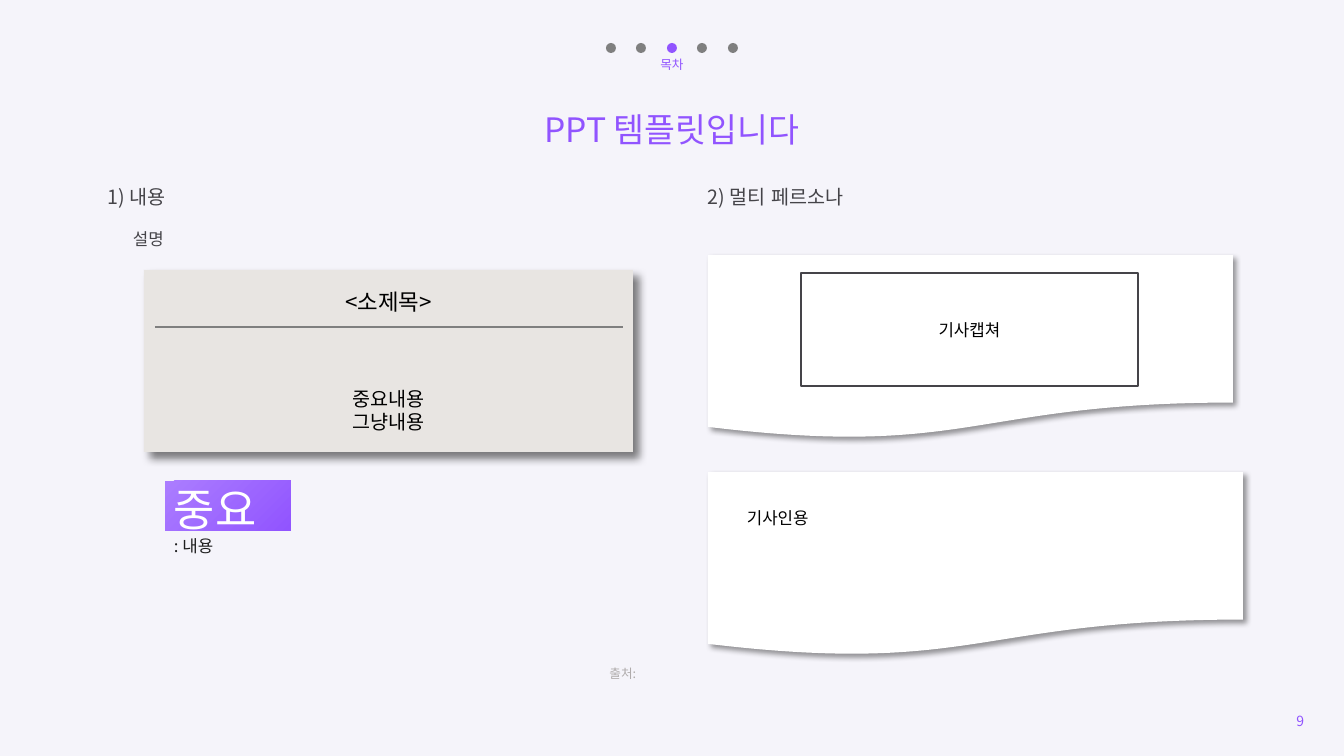
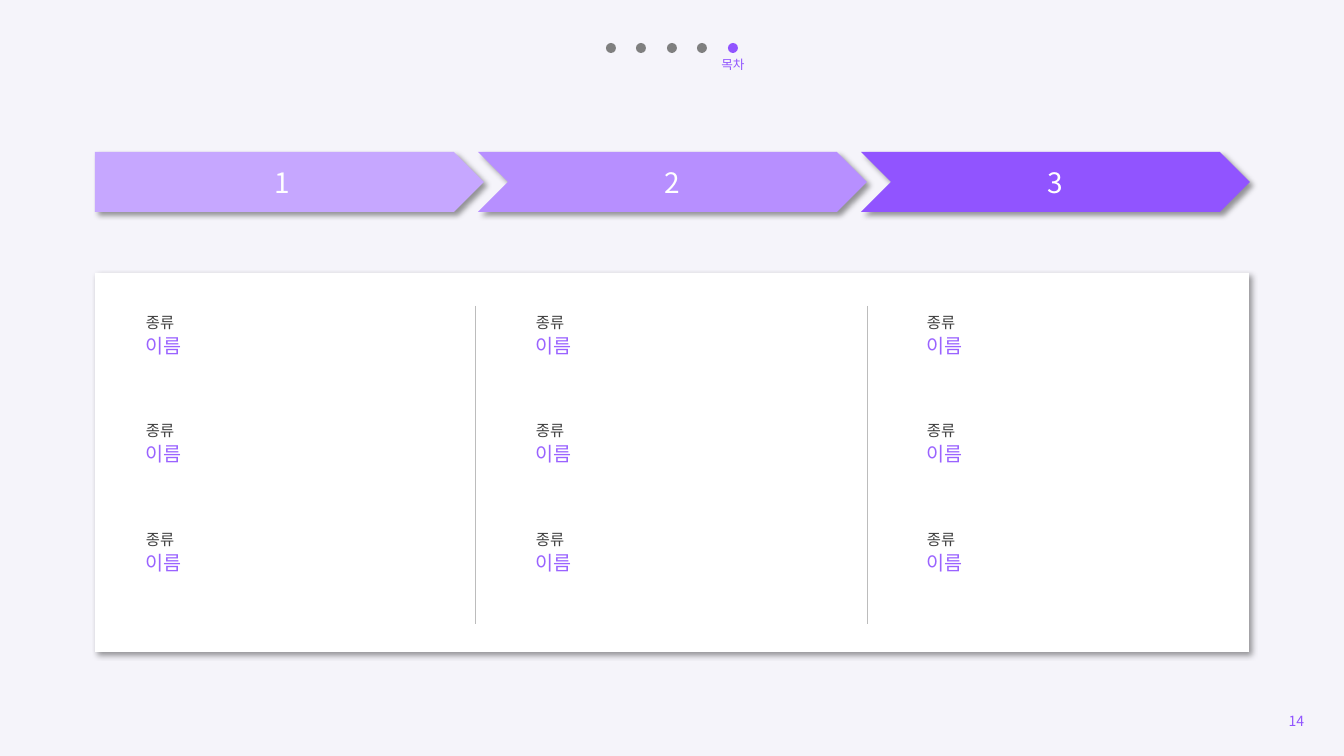
from dataclasses import dataclass
from typing import Optional

from lxml.etree import SubElement
from pptx import Presentation
from pptx.dml.color import RGBColor
from pptx.enum.dml import MSO_FILL
from pptx.enum.lang import MSO_LANGUAGE_ID
from pptx.enum.shapes import MSO_CONNECTOR, MSO_SHAPE
from pptx.enum.text import MSO_ANCHOR, MSO_AUTO_SIZE, PP_ALIGN
from pptx.oxml.ns import qn
from pptx.shapes.autoshape import Shape
from pptx.slide import Slide
from pptx.text.text import TextFrame
from pptx.util import Emu, Pt

EMU_PER_PX = 914400 / 100.8


@dataclass(frozen=True)
class TextStyle:
    size: int
    color: str
    spacing: Optional[float] = None


@dataclass(frozen=True)
class Theme:
    font: str = "Noto Sans CJK KR"
    background: str = "F5F4FA"
    accent: str = "9154FF"
    accent_light: str = "AB7DFF"
    dot: str = "7F7F7F"
    paper: str = "FFFFFF"
    card: str = "E8E5E2"
    ink: str = "454449"
    divider: str = "BCBCBC"
    steps: tuple[str, ...] = ("C6A7FF", "B78FFF", "9154FF")
    title: TextStyle = TextStyle(24, "9154FF")
    heading: TextStyle = TextStyle(14, "454449")
    description: TextStyle = TextStyle(12, "454449")
    emphasis: TextStyle = TextStyle(32, "FFFFFF")
    detail: TextStyle = TextStyle(12, "1E1E1E")
    source: TextStyle = TextStyle(9, "AFABAB")
    section: TextStyle = TextStyle(9, "9154FF")
    page: TextStyle = TextStyle(10, "9154FF")
    subtitle: TextStyle = TextStyle(16, "000000")
    body: TextStyle = TextStyle(14, "000000")
    article: TextStyle = TextStyle(12, "000000")
    step: TextStyle = TextStyle(20, "FFFFFF")
    kind: TextStyle = TextStyle(11, "404040", 1.1)
    name: TextStyle = TextStyle(14, "9A63FF", 1.1)


@dataclass(frozen=True)
class Box:
    left: int
    top: int
    width: int
    height: int


@dataclass(frozen=True)
class Line:
    text: str
    style: TextStyle
    space_before: int = 0


@dataclass(frozen=True)
class Shadow:
    opacity: int = 40
    blur: int = 4
    distance: int = 3


THEME = Theme()
PAPER_SHADOW = Shadow()
CARD_SHADOW = Shadow(49, 6, 6)


def px(length: int) -> Emu:
    return Emu(round(length * EMU_PER_PX))


def rgb(color: str) -> RGBColor:
    return RGBColor.from_string(color)


def write(frame: TextFrame, lines: list[Line], align: PP_ALIGN) -> None:
    frame.word_wrap = True
    frame.text = "\n".join(line.text for line in lines)
    for paragraph, line in zip(frame.paragraphs, lines):
        paragraph.alignment = align
        if line.space_before:
            paragraph.space_before = Pt(line.space_before)
        if line.style.spacing:
            paragraph.line_spacing = line.style.spacing
        for run in paragraph.runs:
            run.font.size = Pt(line.style.size)
            run.font.color.rgb = rgb(line.style.color)
            run.font.name = THEME.font
            run.font.language_id = MSO_LANGUAGE_ID.KOREAN
            latin = run.font._element.find(qn("a:latin"))
            east_asian = latin.makeelement(qn("a:ea"), {"typeface": THEME.font})
            latin.addnext(east_asian)


def add_text(slide: Slide, box: Box, *lines: Line, align: PP_ALIGN = PP_ALIGN.LEFT,
             centered: bool = False) -> None:
    frame = slide.shapes.add_textbox(
        px(box.left), px(box.top), px(box.width), px(box.height)).text_frame
    write(frame, list(lines), align)
    if centered:
        frame.vertical_anchor = MSO_ANCHOR.MIDDLE
    else:
        frame.auto_size = MSO_AUTO_SIZE.SHAPE_TO_FIT_TEXT


def add_panel(slide: Slide, preset: MSO_SHAPE, box: Box, fill: str, *lines: Line,
              shadow: Optional[Shadow] = None, outline: Optional[str] = None) -> Shape:
    panel = slide.shapes.add_shape(
        preset, px(box.left), px(box.top), px(box.width), px(box.height))
    panel.fill.solid()
    panel.fill.fore_color.rgb = rgb(fill)
    if outline:
        panel.line.color.rgb = rgb(outline)
        panel.line.width = Pt(1)
    else:
        panel.line.fill.background()
    panel.shadow.inherit = False
    if shadow:
        effects = panel._element.spPr.find(qn("a:effectLst"))
        outer = SubElement(effects, qn("a:outerShdw"), {
            "blurRad": str(Pt(shadow.blur)), "dist": str(Pt(shadow.distance)),
            "dir": "2700000", "algn": "tl", "rotWithShape": "0"})
        color = SubElement(outer, qn("a:srgbClr"), val="000000")
        SubElement(color, qn("a:alpha"), val=str(shadow.opacity * 1000))
    if lines:
        write(panel.text_frame, list(lines), PP_ALIGN.CENTER)
        panel.text_frame.vertical_anchor = MSO_ANCHOR.MIDDLE
    return panel


def add_rule(slide: Slide, start: tuple[int, int], end: tuple[int, int],
             color: str, weight: float) -> None:
    rule = slide.shapes.add_connector(
        MSO_CONNECTOR.STRAIGHT, *map(px, start), *map(px, end))
    rule.line.color.rgb = rgb(color)
    rule.line.width = Pt(weight)
    SubElement(rule._element.spPr, qn("a:effectLst"))


def add_frame(slide: Slide, active: int, page: str) -> None:
    for index in range(5):
        left = 606 + index * 61 // 2
        add_panel(slide, MSO_SHAPE.OVAL, Box(left, 43, 10, 10),
                  THEME.accent if index == active else THEME.dot)
        if index == active:
            add_text(slide, Box(left - 65, 52, 140, 25), Line("목차", THEME.section),
                     align=PP_ALIGN.CENTER)
    add_text(slide, Box(1012, 701, 302, 40), Line(page, THEME.page),
             align=PP_ALIGN.RIGHT, centered=True)


def build_persona(slide: Slide) -> None:
    add_frame(slide, 2, "9")
    add_text(slide, Box(217, 104, 910, 50), Line("PPT 템플릿입니다", THEME.title),
             align=PP_ALIGN.CENTER)
    for left, heading in ((98, "1) 내용"), (698, "2) 멀티 페르소나")):
        add_text(slide, Box(left, 174, 535, 45), Line(heading, THEME.heading), centered=True)
    add_text(slide, Box(123, 216, 344, 45), Line("설명", THEME.description), centered=True)

    add_panel(slide, MSO_SHAPE.RECTANGLE, Box(144, 270, 489, 182), THEME.card,
              Line("<소제목>", THEME.subtitle), Line("중요내용", THEME.body, 51),
              Line("그냥내용", THEME.body), shadow=CARD_SHADOW)
    add_rule(slide, (155, 327), (623, 327), THEME.dot, 1)

    highlight = add_panel(slide, MSO_SHAPE.RECTANGLE, Box(165, 481, 126, 50), THEME.accent)
    highlight.fill.gradient()
    highlight.fill.gradient_angle = 315
    for stop, color in zip(highlight.fill.gradient_stops, (THEME.accent_light, THEME.accent)):
        stop.color.rgb = rgb(color)
    add_text(slide, Box(164, 477, 429, 85), Line("중요", THEME.emphasis),
             Line(": 내용", THEME.detail))

    for top, width in ((255, 525), (472, 535)):
        add_panel(slide, MSO_SHAPE.FLOWCHART_DOCUMENT, Box(708, top, width, 184),
                  THEME.paper, shadow=PAPER_SHADOW)
    add_panel(slide, MSO_SHAPE.RECTANGLE, Box(801, 273, 337, 113), THEME.paper,
              Line("기사캡쳐", THEME.article), outline=THEME.ink)
    add_text(slide, Box(737, 503, 481, 30), Line("기사인용", THEME.article))
    add_text(slide, Box(403, 661, 243, 25), Line("출처:", THEME.source), align=PP_ALIGN.RIGHT)


def build_steps(slide: Slide) -> None:
    add_frame(slide, 4, "14")
    add_panel(slide, MSO_SHAPE.RECTANGLE, Box(95, 273, 1154, 379), THEME.paper,
              shadow=PAPER_SHADOW)
    for column, color in enumerate(THEME.steps):
        preset = MSO_SHAPE.CHEVRON if column else MSO_SHAPE.PENTAGON
        add_panel(slide, preset, Box(95 + column * 383, 152, 389, 60), color,
                  Line(str(column + 1), THEME.step), shadow=PAPER_SHADOW)
        if column:
            divider = 475 + (column - 1) * 392
            add_rule(slide, (divider, 306), (divider, 624), THEME.divider, 0.5)
        for row in range(3):
            add_text(slide, Box(136 + column * 781 // 2, 306 + row * 217 // 2, 304, 55),
                     Line("종류", THEME.kind), Line("이름", THEME.name))


def main() -> None:
    deck = Presentation()
    deck.slide_width, deck.slide_height = px(1344), px(756)
    backdrop = deck.slide_master.background.fill
    backdrop.solid()
    backdrop.fore_color.rgb = rgb(THEME.background)
    for build in (build_persona, build_steps):
        build(deck.slides.add_slide(deck.slide_layouts[6]))
    deck.save("out.pptx")


if __name__ == "__main__":
    main()
